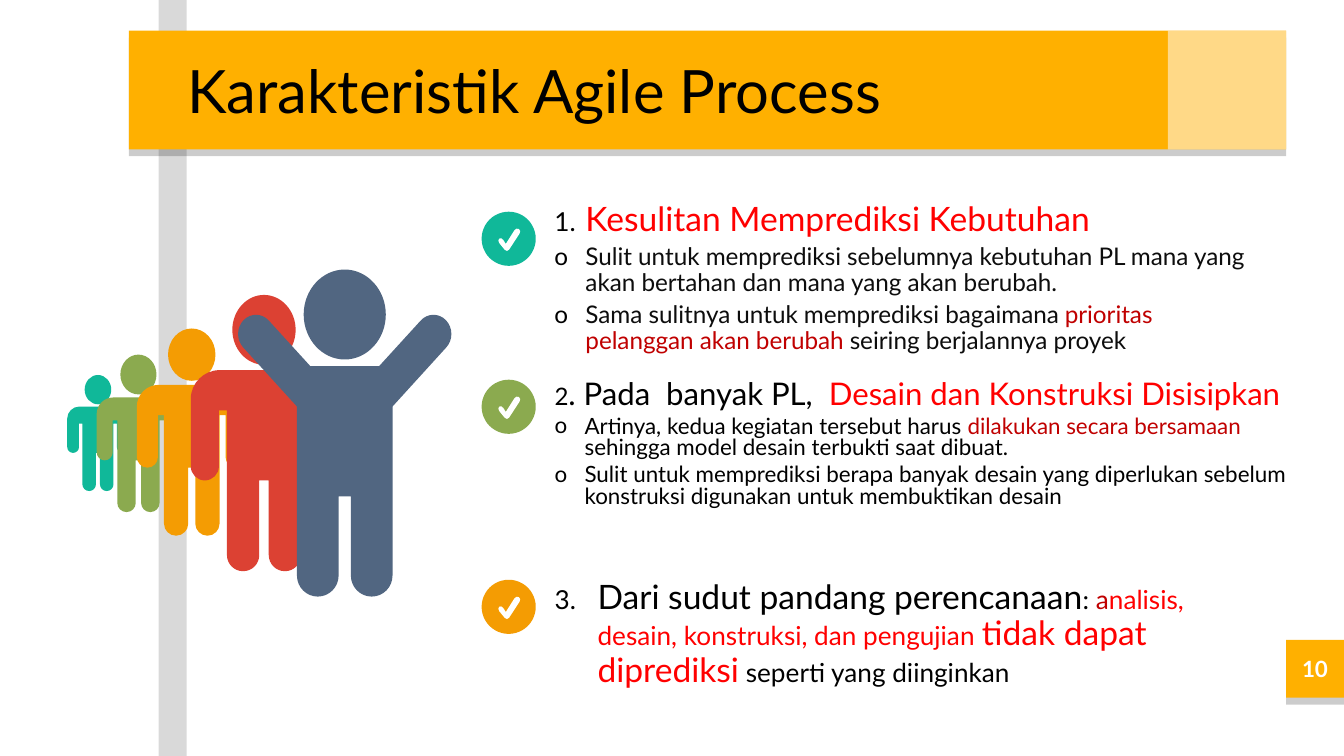
"""Build the slide "Karakteristik Agile Process" with its row of figures and checked points."""
from dataclasses import dataclass
from math import dist

from lxml.etree import SubElement
from pptx import Presentation
from pptx.dml.color import RGBColor
from pptx.enum.shapes import MSO_SHAPE as Preset
from pptx.enum.text import MSO_ANCHOR as Anchor, PP_ALIGN as Align
from pptx.oxml.ns import qn
from pptx.util import Pt


@dataclass(frozen=True)
class Theme:
    font: str = "Lato"
    white: str = "FFFFFF"
    black: str = "000000"
    ink: str = "0D0D0D"
    accent: str = "FFB000"
    red: str = "FF0000"
    dark_red: str = "C00000"
    teal: str = "10B899"
    green: str = "8BAA4F"
    orange: str = "F49C03"
    tomato: str = "DC4133"
    slate: str = "516681"
    title: float = 32
    heading: float = 18
    heading_tight: float = 16.7
    label: float = 14
    label_tight: float = 12.9
    detail: float = 13
    detail_tight: float = 12


def mirrored(half, axis):
    return half + [(2 * axis - x, y, radius) for x, y, radius in reversed(half)]


def oval(left, top, right, bottom):
    return [(x, y, 99) for x, y in ((left, top), (right, top), (right, bottom), (left, bottom))]


def toward(start, end, length):
    share = length / dist(start, end)
    return tuple(a + (b - a) * share for a, b in zip(start, end))


def rounded(corners):
    """Return the outline as groups: one point for a line, three for a curve."""
    groups = []
    for index, (x, y, radius) in enumerate(corners):
        corner = (x, y)
        if not radius:
            groups.append([corner])
            continue
        start, end = (toward(corner, other, min(radius, dist(corner, other) / 2))
                      for other in (corners[index - 1][:2], corners[(index + 1) % len(corners)][:2]))
        pulls = [toward(edge, corner, 0.55 * dist(edge, corner)) for edge in (start, end)]
        if not groups or dist(groups[-1][-1], start) > 0.1:
            groups.append([start])
        groups.append([*pulls, end])
    return groups


class SlideBuilder:
    """Hold the theme and the current slide, and add each kind of element."""

    def __init__(self, slide, theme):
        self.slide = slide
        self.theme = theme

    def finish(self, shape, color, alpha=None, shadow=None):
        shape.fill.solid()
        shape.fill.fore_color.rgb = RGBColor.from_string(color)
        shape.line.fill.background()
        shape.shadow.inherit = False
        properties = shape._element.spPr
        if alpha:
            fill_color = properties.find(qn("a:solidFill"))[0]
            SubElement(fill_color, qn("a:alpha"), val=str(alpha * 1000))
        if shadow:
            opacity, distance, angle = shadow
            outer = SubElement(properties.find(qn("a:effectLst")), qn("a:outerShdw"),
                               dist=str(Pt(distance)), dir=str(angle * 60000),
                               algn="bl", rotWithShape="0")
            shade = SubElement(outer, qn("a:srgbClr"), val=self.theme.black)
            SubElement(shade, qn("a:alpha"), val=str(opacity * 1000))
        return shape

    def preset(self, kind, box, color, **effects):
        shape = self.slide.shapes.add_shape(kind, *map(Pt, box))
        return self.finish(shape, color, **effects)

    def outline(self, left, top, scale, contours, color):
        builder, sizes = None, []
        for contour in contours:
            groups = rounded(contour)
            points = [(Pt(left + x * scale), Pt(top + y * scale)) for group in groups for x, y in group]
            if builder is None:
                builder = self.slide.shapes.build_freeform(*points[0])
            else:
                builder.move_to(*points[0])
            builder.add_line_segments(points[1:], close=True)
            sizes += [len(group) for group in groups[1:]]
        shape = builder.convert_to_shape()
        segments = iter(list(shape._element.iter(qn("a:lnTo"))))
        for size in sizes:
            group = [next(segments) for _ in range(size)]
            if size == 3:
                curve = group[0].makeelement(qn("a:cubicBezTo"))
                group[0].addprevious(curve)
                for segment in group:
                    curve.append(segment[0])
                    segment.getparent().remove(segment)
        return self.finish(shape, color)

    def check(self, left, top, color):
        self.preset(Preset.OVAL, (left, top, 29, 29), color)
        mark = [(8.3, 15.4, 2), (10.6, 13.5, 2), (13, 17.3, 0),
                (18.6, 8.4, 1.8), (21.4, 10.2, 1.8), (13.7, 22, 2)]
        self.outline(left, top, 1, [mark], self.theme.white)

    def text_box(self, box):
        return self.slide.shapes.add_textbox(*map(Pt, box))

    def frame(self, shape, anchor=Anchor.TOP):
        frame = shape.text_frame
        frame.word_wrap = True
        frame.vertical_anchor = anchor
        frame.margin_left = frame.margin_right = frame.margin_top = frame.margin_bottom = Pt(7.2)
        return frame

    def runs(self, paragraph, runs, bold=False):
        for text, size, color in runs:
            run = paragraph.add_run()
            run.text = text
            run.font.name = self.theme.font
            run.font.size = Pt(size)
            run.font.bold = bold
            run.font.color.rgb = RGBColor.from_string(color)

    def line(self, shape, run, align, bold=False):
        paragraph = self.frame(shape, Anchor.MIDDLE).paragraphs[0]
        paragraph.alignment = align
        self.runs(paragraph, [run], bold)

    def point(self, box, paragraphs, spacing, margin=21.6, hanging=16.6):
        frame = self.frame(self.text_box(box))
        for index, runs in enumerate(paragraphs):
            paragraph = frame.add_paragraph() if index else frame.paragraphs[0]
            paragraph.line_spacing = spacing
            paragraph.space_before = Pt(3)
            properties = paragraph._p.get_or_add_pPr()
            properties.set("marL", str(Pt(margin)))
            properties.set("indent", str(-Pt(hanging)))
            if index:
                bullet_color = SubElement(properties, qn("a:buClr"))
                SubElement(bullet_color, qn("a:srgbClr"), val=self.theme.black)
                SubElement(properties, qn("a:buFont"), typeface=self.theme.font)
                SubElement(properties, qn("a:buChar"), char="o")
            self.runs(paragraph, runs)


def main():
    theme = Theme()
    presentation = Presentation()
    presentation.slide_width, presentation.slide_height = Pt(720), Pt(405)
    builder = SlideBuilder(presentation.slides.add_slide(presentation.slide_layouts[6]), theme)

    drop = (20, 3.7, 90)
    builder.preset(Preset.RECTANGLE, (100, 0, 620, 405), theme.white, shadow=(15, 15, 180))
    page = builder.preset(Preset.RECTANGLE, (689, 342.8, 31, 31), theme.accent, shadow=drop)
    builder.line(page, ("10", theme.detail_tight, theme.white), Align.CENTER, bold=True)
    builder.preset(Preset.RECTANGLE, (69.1, 16.4, 620, 63.6), theme.accent, shadow=drop)
    builder.preset(Preset.RECTANGLE, (625.6, 16.4, 63.4, 63.6), theme.white, alpha=53)
    builder.line(builder.text_box((93.4, 16.4, 530.6, 63.6)),
                 ("Karakteristik Agile Process", theme.title, theme.black), Align.LEFT)

    builder.point((285, 101.2, 388.8, 100.8), [
        [("1. \t", theme.label, theme.black),
         ("Kesulitan Memprediksi Kebutuhan", theme.heading, theme.red)],
        [("Sulit untuk memprediksi sebelumnya kebutuhan PL mana yang akan bertahan "
          "dan mana yang akan berubah.", theme.detail, theme.ink)],
        [("Sama sulitnya untuk memprediksi bagaimana ", theme.detail, theme.ink),
         ("prioritas pelanggan akan berubah ", theme.detail, theme.dark_red),
         ("seiring berjalannya proyek", theme.detail, theme.ink)],
    ], 0.9)
    builder.point((285, 197.3, 423.4, 113), [
        [("2", theme.label_tight, theme.black),
         (". Pada  banyak PL,  ", theme.heading_tight, theme.black),
         ("Desain dan Konstruksi Disisipkan", theme.heading_tight, theme.red)],
        [("Artinya, kedua kegiatan tersebut harus ", theme.detail_tight, theme.black),
         ("dilakukan secara bersamaan", theme.detail_tight, theme.dark_red),
         (" sehingga model desain terbukti saat dibuat.", theme.detail_tight, theme.black)],
        [("Sulit untuk memprediksi berapa banyak desain yang diperlukan sebelum konstruksi "
          "digunakan untuk membuktikan desain", theme.detail_tight, theme.black)],
    ], 0.8, margin=21.1, hanging=16.1)
    builder.point((285, 303.8, 369.4, 72.7), [
        [("3. \t", theme.label, theme.black),
         ("Dari sudut pandang perencanaan", theme.heading, theme.black),
         (": ", theme.label, theme.black),
         ("a", theme.label, theme.dark_red),
         ("nalisis, desain, konstruksi, dan pengujian ", theme.label, theme.red),
         ("tidak dapat diprediksi", theme.heading, theme.red),
         (" ", theme.label, theme.red),
         ("seperti yang diinginkan", theme.label, theme.black)],
    ], 0.9, margin=28.1, hanging=23)

    standing = [oval(22.3, 0, 56.2, 37.4), mirrored([
        (36.7, 99.4, 0), (36.7, 148, 8.6), (19.4, 148, 8.6), (19.4, 61.9, 0),
        (15.1, 61.9, 0), (15.1, 99.4, 7.6), (0, 99.4, 7.6), (0, 40.3, 15.5)], 39.25)]
    cheering = [oval(34.9, 0, 78.9, 48.2), mirrored([
        (53.6, 121.5, 0), (53.6, 175.2, 11.2), (31.3, 175.2, 11.2), (31.3, 73.4, 0),
        (-4.2, 34.4, 9.9), (9.5, 20, 9.9), (38.5, 51.8, 0)], 56.9)]
    for left, top, scale, color in ((36, 200.9, 0.42, theme.teal), (51.8, 190, 0.57, theme.green),
                                    (73.3, 176, 0.75, theme.orange), (102.2, 158, 1, theme.tomato)):
        builder.outline(left, top, scale, standing, color)
    builder.outline(127.8, 144.4, 1, cheering, theme.slate)

    for top, color in ((113.4, theme.teal), (203.4, theme.green), (310.6, theme.orange)):
        builder.check(258, top, color)

    presentation.save("out.pptx")


if __name__ == "__main__":
    main()
